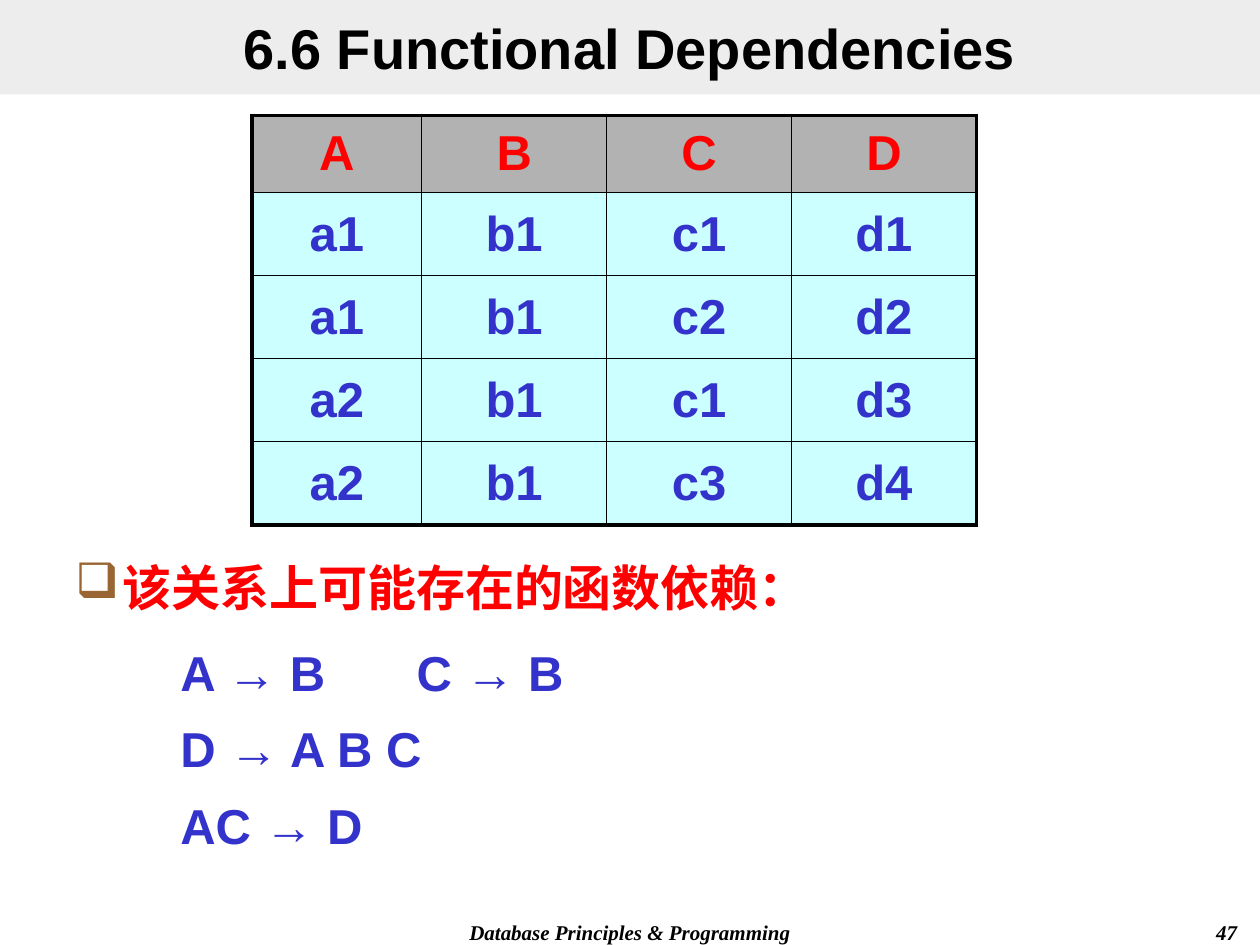
"""Build the functional dependencies slide with its relation table."""
from pptx import Presentation, util as u
from pptx.dml import color
from pptx.enum import text
from pptx.oxml import ns, xmlchemy


def rgb(value):
    return color.RGBColor.from_string(value)


def style(paragraph, size, value, name="Arial", align=None, italic=None):
    paragraph.alignment = align
    font = paragraph.font
    font.name, font.size, font.bold, font.italic = name, u.Pt(size), True, italic
    font.color.rgb = rgb(value)


presentation = Presentation()
presentation.slide_width, presentation.slide_height = u.Pt(720), u.Pt(540)
slide = presentation.slides.add_slide(presentation.slide_layouts[5])
center = text.PP_ALIGN.CENTER

title = slide.shapes.title
title.left, title.top, title.width, title.height = u.Pt(0), u.Pt(0), u.Pt(720), u.Pt(54)
title.fill.solid()
title.fill.fore_color.rgb = rgb("DDDDDD")
fill_color = title.fill._xPr.find(".//" + ns.qn("a:srgbClr"))
xmlchemy.OxmlElement("a:alpha")
alpha = fill_color.makeelement(ns.qn("a:alpha"), {"val": "50000"})
fill_color.append(alpha)
frame = title.text_frame
frame.text = "6.6 Functional Dependencies"
frame.auto_size = text.MSO_AUTO_SIZE.NONE
frame.vertical_anchor = text.MSO_ANCHOR.MIDDLE
frame.margin_top = frame.margin_bottom = 0
style(frame.paragraphs[0], 32, "000000", align=center)

rows = ["A B C D", "a1 b1 c1 d1", "a1 b1 c2 d2", "a2 b1 c1 d3", "a2 b1 c3 d4"]
table_frame = slide.shapes.add_table(5, 4, u.Pt(144), u.Pt(66), u.Pt(414), u.Pt(234))
table = table_frame.table
for column, width in zip(table.columns, [97] + [105.67] * 3):
    column.width = u.Pt(width)
for row, height in zip(table.rows, [44] + [47.5] * 4):
    row.height = u.Pt(height)
for i, row in enumerate(rows):
    for j, value in enumerate(row.split()):
        cell = table.cell(i, j)
        cell.text = value
        cell.vertical_anchor = text.MSO_ANCHOR.MIDDLE
        cell.margin_top = cell.margin_bottom = 0
        style(cell.text_frame.paragraphs[0], 28, "3333CC" if i else "FF0000", align=center)
        properties = cell._tc.get_or_add_tcPr()
        edges = {"lnL": j == 0, "lnR": j == 3, "lnT": i == 0, "lnB": i == 4}
        for tag, outer in edges.items():
            line = xmlchemy.OxmlElement("a:" + tag)
            line.set("w", str(u.Pt(2.25 if outer else 1)))
            solid = xmlchemy.OxmlElement("a:solidFill")
            black = xmlchemy.OxmlElement("a:srgbClr")
            black.set("val", "000000")
            solid.append(black)
            line.append(solid)
            properties.append(line)
        cell.fill.solid()
        cell.fill.fore_color.rgb = rgb("CCFFFF" if i else "B2B2B2")

heading = ["该关系上可能存在的函数依赖："]
dependencies = ["A → B \t\tC → B", "D → A B C", "AC → D"]
footer, number = ["Database Principles & Programming"], ["47"]
serif = {"name": "Times New Roman", "italic": True}
right = text.PP_ALIGN.RIGHT
boxes = [
    (36, 315, 648, 49, heading, 28, "FF0000", {}),
    (96, 360, 546, 132, dependencies, 28, "3333CC", {}),
    (204, 522, 312, 18, footer, 12, "000000", {"align": center, **serif}),
    (564, 522, 150, 18, number, 12, "000000", {"align": right, **serif}),
]
for left, top, width, height, lines, size, value, options in boxes:
    box = slide.shapes.add_textbox(u.Pt(left), u.Pt(top), u.Pt(width), u.Pt(height))
    frame = box.text_frame
    frame.word_wrap = True
    frame.text = "\n".join(lines)
    for i, paragraph in enumerate(frame.paragraphs):
        if size == 28:
            properties = paragraph._p.get_or_add_pPr()
            properties.set("marL", str(u.Pt(27)))
            properties.set("indent", str(u.Pt(-27)))
        if lines is heading:
            bullet_color = xmlchemy.OxmlElement("a:buClr")
            brown = xmlchemy.OxmlElement("a:srgbClr")
            brown.set("val", "996633")
            bullet_color.append(brown)
            bullet = xmlchemy.OxmlElement("a:buChar")
            bullet.set("char", "❑")
            properties.extend([bullet_color, bullet])
        if lines is dependencies:
            paragraph.line_spacing = 1.1
            paragraph.space_before = u.Pt(7 if i else 0)
        style(paragraph, size, value, **options)

presentation.save("out.pptx")
